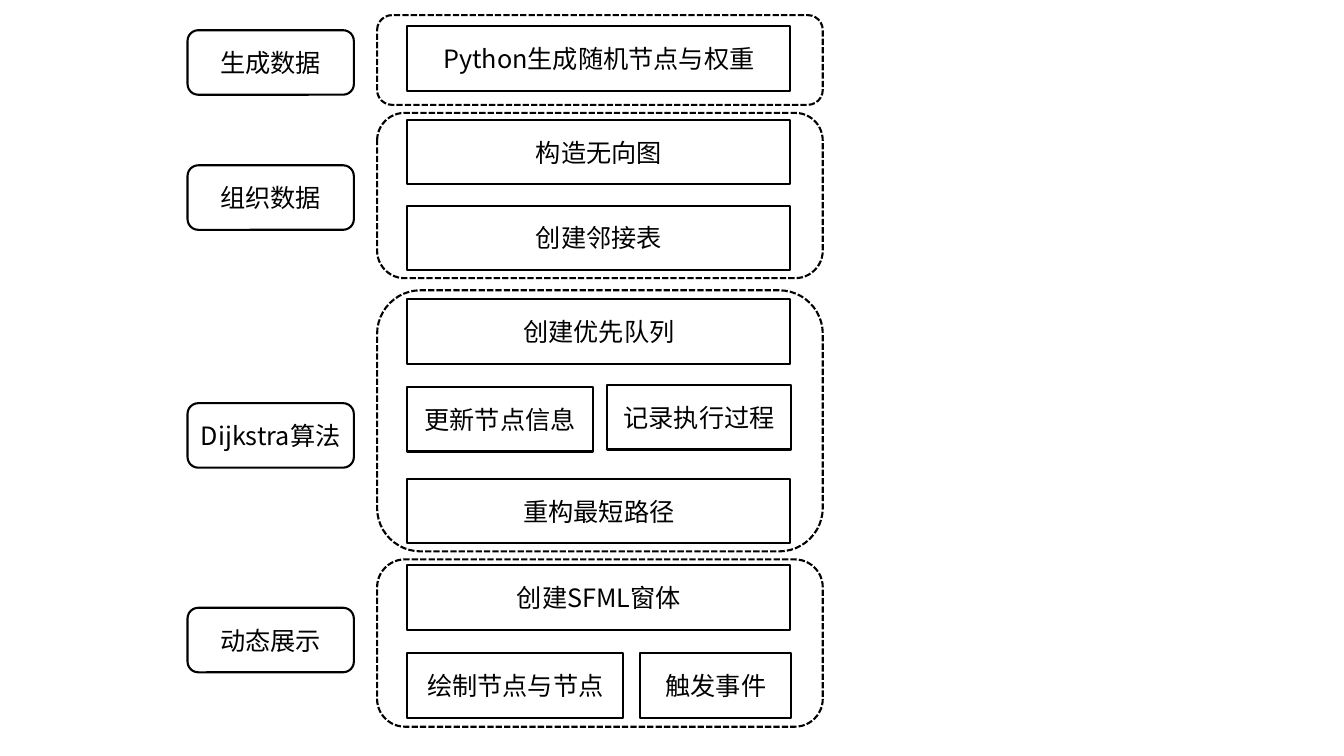
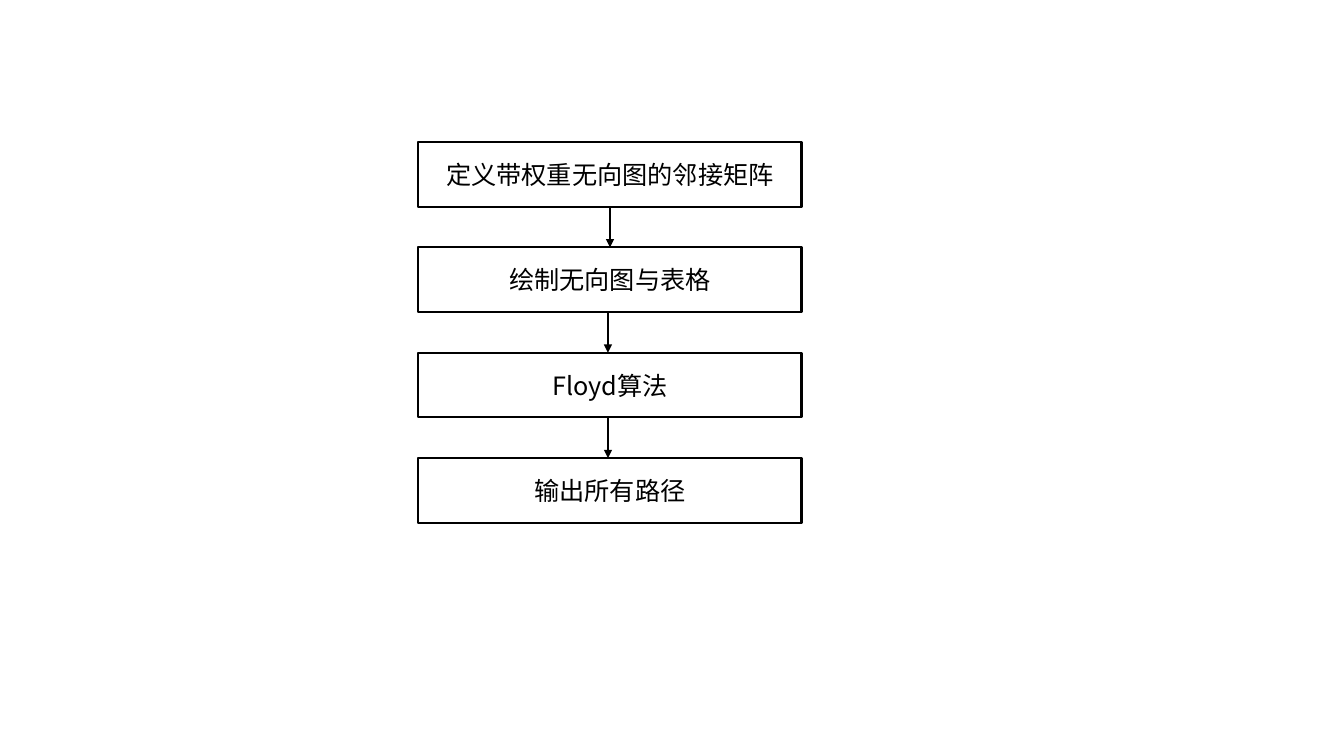
from dataclasses import dataclass

from lxml import etree
from pptx import Presentation
from pptx.dml.color import RGBColor
from pptx.enum.dml import MSO_LINE
from pptx.enum.shapes import MSO_CONNECTOR, MSO_SHAPE
from pptx.enum.text import MSO_ANCHOR, PP_ALIGN
from pptx.oxml.ns import qn
from pptx.util import Pt

RECT, ROUND = MSO_SHAPE.RECTANGLE, MSO_SHAPE.ROUNDED_RECTANGLE
STRAIGHT = MSO_CONNECTOR.STRAIGHT
SYS_DASH = MSO_LINE.SQUARE_DOT
CENTER, MIDDLE = PP_ALIGN.CENTER, MSO_ANCHOR.MIDDLE


@dataclass(frozen=True)
class Theme:
    ink: RGBColor = RGBColor(0, 0, 0)
    paper: RGBColor = RGBColor(255, 255, 255)
    font: str = "Noto Sans CJK SC"
    size: Pt = Pt(18)
    line: Pt = Pt(1.5)


T = Theme()
PX = 9144
SLIDE_W, SLIDE_H = 1333, 750
BOX_W, BOX_H = 380, 64

LABEL_X, LABEL_W = 186, 165
STAGE_X, STAGE_W = 374, 442
STEP_X = 404
STAGES = [
    {"label": ("生成数据", 30), "frame": (15, 89),
     "steps": [("Python生成随机节点与权重", 0, 26, BOX_W)]},
    {"label": ("组织数据", 164), "frame": (112, 164),
     "steps": [("构造无向图", 0, 119, BOX_W),
               ("创建邻接表", 0, 204, BOX_W)]},
    {"label": ("Dijkstra算法", 400), "frame": (288, 259),
     "steps": [("创建优先队列", 0, 297, BOX_W),
               ("更新节点信息", 0, 384, 184),
               ("记录执行过程", 198, 382, 183),
               ("重构最短路径", 0, 475, BOX_W)]},
    {"label": ("动态展示", 603), "frame": (555, 166),
     "steps": [("创建SFML窗体", 0, 561, BOX_W),
               ("绘制节点与节点", 0, 648, 214),
               ("触发事件", 231, 648, 150)]},
]

FLOW_X, FLOW_Y, FLOW_PITCH = 415, 141, 104.5
FLOW = ["定义带权重无向图的邻接矩阵", "绘制无向图与表格", "Floyd算法", "输出所有路径"]
ARROW_X = [605, 603, 603]


def emu(*lengths):
    return [round(n * PX) for n in lengths]


def style_line(line):
    line.color.rgb = T.ink
    line.width = T.line


def add_outline(s, kind, x, y, w, h):
    sp = s.shapes.add_shape(kind, *emu(x, y, w, h))
    sp.shadow.inherit = False
    style_line(sp.line)
    return sp


def add_box(s, text, x, y, w=BOX_W, kind=RECT):
    sp = add_outline(s, kind, x, y, w, BOX_H)
    sp.fill.solid()
    sp.fill.fore_color.rgb = T.paper
    tf = sp.text_frame
    tf.word_wrap = True
    tf.vertical_anchor = MIDDLE
    p = tf.paragraphs[0]
    p.alignment = CENTER
    r = p.add_run()
    r.text = text
    for name, value in {"name": T.font, "size": T.size}.items():
        setattr(r.font, name, value)
    r.font.color.rgb = T.ink
    etree.SubElement(r.font._element, qn("a:ea"), typeface=T.font)
    r.font._element.append(r.font._element.find(qn("a:ea")))


def add_frame(s, y, h):
    sp = add_outline(s, ROUND, STAGE_X, y, STAGE_W, h)
    sp.fill.background()
    sp.line.dash_style = SYS_DASH


def add_arrow(s, x, top, bottom):
    c = s.shapes.add_connector(STRAIGHT, *emu(x, top, x, bottom))
    style_line(c.line)
    etree.SubElement(c.line._get_or_add_ln(), qn("a:tailEnd"), type="triangle")
    etree.SubElement(c._element.spPr, qn("a:effectLst"))


def build_stages(s):
    for stage in STAGES:
        text, y = stage["label"]
        add_box(s, text, LABEL_X, y, LABEL_W, ROUND)
        for text, dx, y, w in stage["steps"]:
            add_box(s, text, STEP_X + dx, y, w)
        add_frame(s, *stage["frame"])


def build_flow(s):
    tops = [FLOW_Y + i * FLOW_PITCH for i in range(len(FLOW))]
    for text, y in zip(FLOW, tops):
        add_box(s, text, FLOW_X, y)
    for x, top, bottom in zip(ARROW_X, tops, tops[1:]):
        add_arrow(s, x, top + BOX_H, bottom)


def main():
    prs = Presentation()
    prs.slide_width, prs.slide_height = emu(SLIDE_W, SLIDE_H)
    for build in (build_stages, build_flow):
        build(prs.slides.add_slide(prs.slide_layouts[6]))
    prs.save("out.pptx")


if __name__ == "__main__":
    main()
